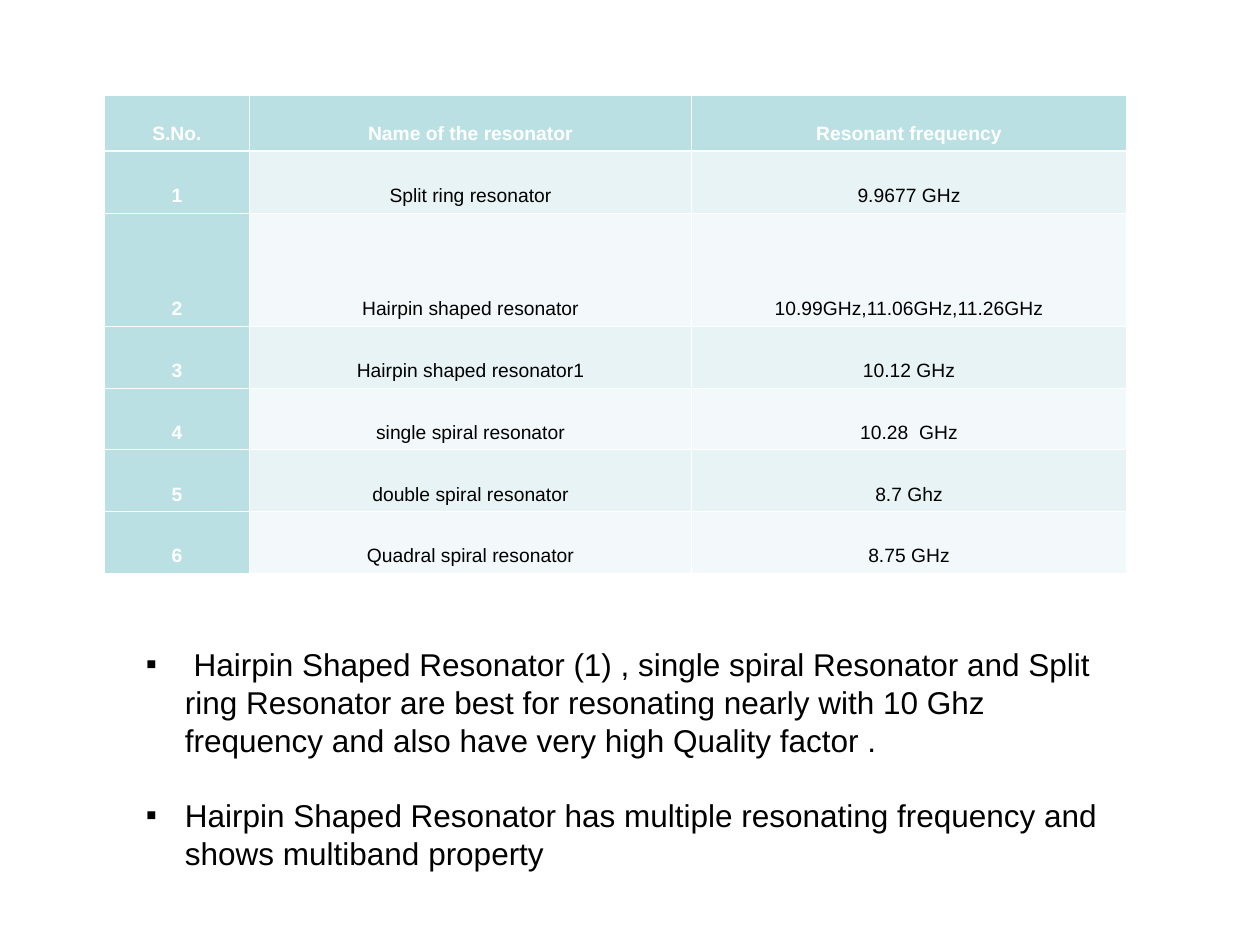
from dataclasses import dataclass

from lxml.etree import SubElement
from pptx import Presentation
from pptx.dml.color import RGBColor as RGB
from pptx.enum.text import MSO_ANCHOR as Anchor, PP_ALIGN as Align
from pptx.oxml.ns import qn
from pptx.util import Inches, Pt


@dataclass(frozen=True)
class Theme:
    """Colours, font and type sizes of the slide."""
    font: str = "Arial"
    head: str = "BBE0E3"
    bands: tuple = ("E7F3F4", "F3F9FA")
    white: str = "FFFFFF"
    black: str = "000000"
    cell_size: int = 11
    body_size: int = 18
    thin: float = 0.45
    thick: float = 1.47


THEME = Theme()
COLUMNS = (1.15, 3.51, 3.45)
ROWS = (0.44, 0.49, 0.9, 0.49, 0.49, 0.49, 0.49)
HEADER = ("S.No.", "Name of the resonator", "Resonant frequency")
RESONATORS = (
    ("Split ring resonator", "9.9677 GHz"),
    ("Hairpin shaped resonator", "10.99GHz,11.06GHz,11.26GHz"),
    ("Hairpin shaped resonator1", "10.12 GHz"),
    ("single spiral resonator", "10.28  GHz"),
    ("double spiral resonator", "8.7 Ghz"),
    ("Quadral spiral resonator", "8.75 GHz"),
)
FINDINGS = (
    " Hairpin Shaped Resonator (1) , single spiral Resonator and Split ring Resonator "
    "are best for resonating nearly with 10 Ghz frequency and also have very high "
    "Quality factor .",
    "Hairpin Shaped Resonator has multiple resonating frequency and shows multiband property",
)


def write(p, text, size, color=THEME.black, bold=False, align=Align.LEFT, spacing=None, before=0):
    """Add text to a paragraph with the given format."""
    p.alignment, p.line_spacing, p.space_before = align, spacing, Pt(before)
    r = p.add_run()
    r.text = text
    r.font.name, r.font.size, r.font.bold = THEME.font, Pt(size), bold
    r.font.color.rgb = RGB.from_string(color)


def add_bullet(p, indent):
    """Give a paragraph a square bullet and a hanging indent."""
    pPr = p._p.get_or_add_pPr()
    pPr.set("marL", str(indent))
    pPr.set("indent", str(-indent))
    color = SubElement(pPr, qn("a:buClr"))
    SubElement(color, qn("a:srgbClr"), val=THEME.black)
    SubElement(pPr, qn("a:buFont"), typeface=THEME.font)
    SubElement(pPr, qn("a:buChar"), char="▪")


def set_borders(cell, top, bottom):
    """Draw white cell borders ahead of the cell fill."""
    tcPr = cell._tc.get_or_add_tcPr()
    widths = {"lnL": THEME.thin, "lnR": THEME.thin, "lnT": top, "lnB": bottom}
    for i, (tag, width) in enumerate(widths.items()):
        ln = SubElement(tcPr, qn(f"a:{tag}"), w=str(Pt(width)))
        fill = SubElement(ln, qn("a:solidFill"))
        SubElement(fill, qn("a:srgbClr"), val=THEME.white)
        tcPr.insert(i, ln)


def resonator_table(s, x, y, w, h):
    """Place the table of resonators and their frequencies."""
    data = [HEADER] + [(str(n), *row) for n, row in enumerate(RESONATORS, 1)]
    table = s.shapes.add_table(len(data), len(HEADER), x, y, w, h).table
    table.first_col = True
    for column, width in zip(table.columns, COLUMNS):
        column.width = Inches(width)
    for i, (row, height, texts) in enumerate(zip(table.rows, ROWS, data)):
        row.height = Inches(height)
        for j, (cell, text) in enumerate(zip(row.cells, texts)):
            is_head = i == 0 or j == 0
            cell.vertical_anchor = Anchor.BOTTOM
            cell.margin_left = cell.margin_right = Inches(0.08)
            cell.fill.solid()
            cell.fill.fore_color.rgb = RGB.from_string(
                THEME.head if is_head else THEME.bands[(i - 1) % 2])
            set_borders(cell, THEME.thick if i == 1 else THEME.thin,
                        THEME.thick if i == 0 else THEME.thin)
            write(cell.text_frame.paragraphs[0], text, THEME.cell_size,
                  color=THEME.white if is_head else THEME.black,
                  bold=is_head, align=Align.CENTER, spacing=1.07)


def findings_list(s, x, y, w, h):
    """Place the bulleted findings."""
    tf = s.shapes.add_textbox(x, y, w, h).text_frame
    tf.word_wrap = True
    for i, text in enumerate(FINDINGS):
        p = tf.add_paragraph() if i else tf.paragraphs[0]
        add_bullet(p, Inches(0.31))
        write(p, text, THEME.body_size, before=21.5 if i else 0)


def main():
    """Build the slide and save it."""
    prs = Presentation()
    prs.slide_width, prs.slide_height = Inches(10), Inches(7.5)
    s = prs.slides.add_slide(prs.slide_layouts[6])
    resonator_table(s, Inches(0.83), Inches(0.76), Inches(sum(COLUMNS)), Inches(sum(ROWS)))
    findings_list(s, Inches(1.06), Inches(5.07), Inches(7.95), Inches(1.9))
    prs.save("out.pptx")


if __name__ == "__main__":
    main()
